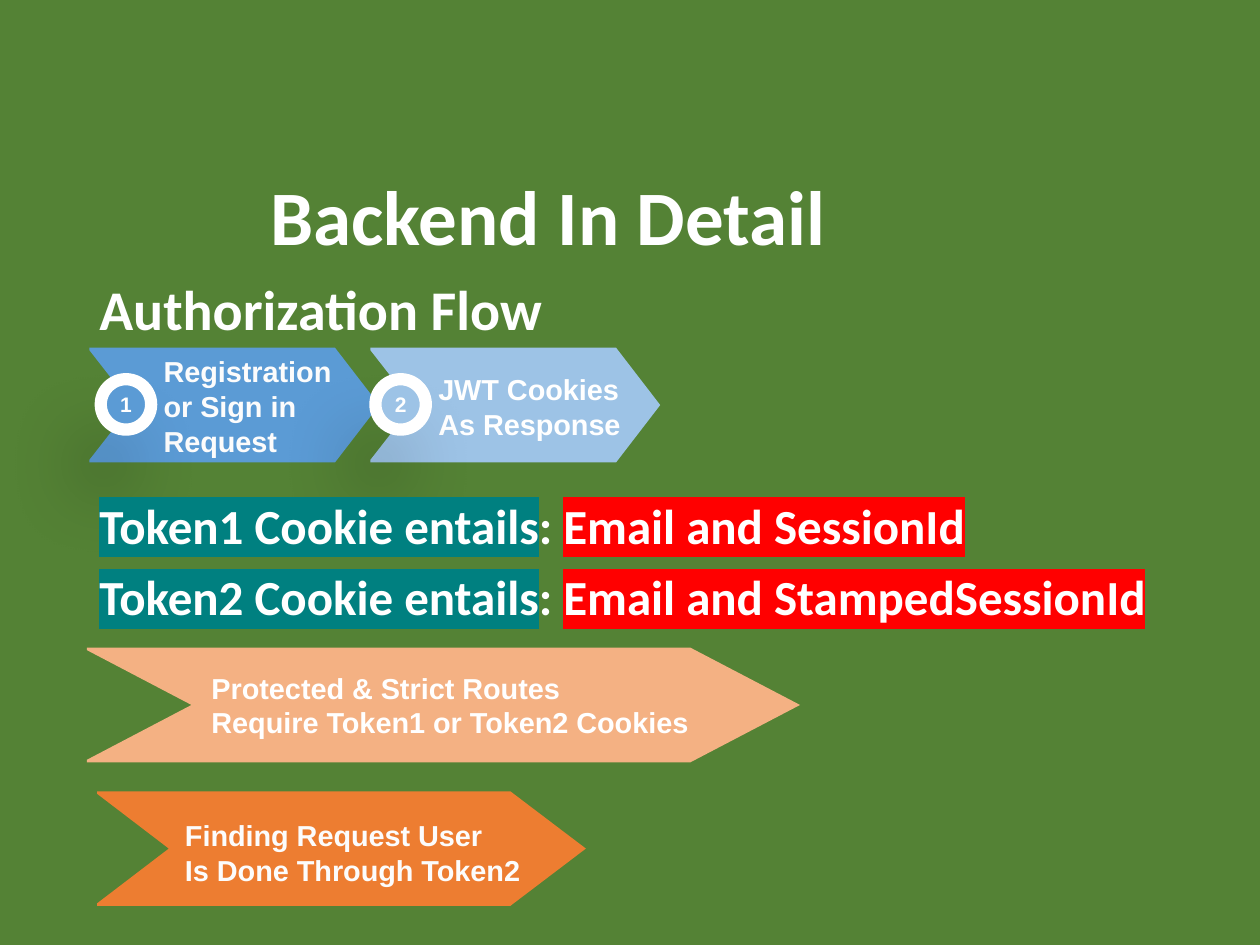
from dataclasses import dataclass
from typing import NamedTuple

from lxml import etree
from pptx import Presentation, util as u
from pptx.dml.color import RGBColor
from pptx.enum import shapes, text
from pptx.oxml import ns


@dataclass(frozen=True)
class Theme:
    back: str = "548235"
    white: str = "FFFFFF"
    soft: str = "FCFCFC"
    blue: str = "5B9BD5"
    pale: str = "9DC3E6"
    peach: str = "F4B183"
    orange: str = "ED7D31"
    teal: str = "008080"
    red: str = "FF0000"
    black: str = "000000"
    head: str = "Calibri"
    body: str = "Arial"
    title: float = 44
    sub: float = 32
    token: float = 28
    step: float = 16.5
    badge: float = 12


class Box(NamedTuple):
    left: float
    top: float
    width: float
    height: float

    def inches(self) -> list:
        return [u.Inches(v) for v in self]


class Arrow(NamedTuple):
    box: Box
    tip: float
    notch: float
    fill: str


class Label(NamedTuple):
    words: str
    box: Box
    size: float
    face: str
    color: str
    wrap: bool = True


class Badge(NamedTuple):
    words: str
    left: float
    fill: str


class Token(NamedTuple):
    name: str
    value: str


T = Theme()
HIGH = 0.91
LIP = 0.02

ARROWS = [
    Arrow(Box(0.71, 2.76, 2.3, HIGH), 0.35, 0.34, T.blue),
    Arrow(Box(2.94, 2.76, 2.3, HIGH), 0.35, 0.34, T.pale),
    Arrow(Box(0.69, 5.14, 5.66, HIGH), 0.87, 0.83, T.peach),
    Arrow(Box(0.77, 6.28, 3.88, HIGH), 0.6, 0.57, T.orange),
]
LABELS = [
    Label("Backend In Detail", Box(2.05, 1.29, 5.91, 0.84), T.title, T.head, T.white),
    Label("Authorization Flow", Box(0.69, 2.13, 4.59, 0.64), T.sub, T.head, T.white),
    Label("Registration\nor Sign in\nRequest", Box(1.2, 2.76, 1.54, 0.93),
          T.step, T.body, T.soft, False),
    Label("Protected & Strict Routes\nRequire Token1 or Token2 Cookies",
          Box(1.58, 5.27, 4.01, 0.65), T.step, T.body, T.white, False),
    Label("Finding Request User\nIs Done Through Token2",
          Box(1.37, 6.44, 2.87, 0.65), T.step, T.body, T.soft, False),
    Label("JWT Cookies\nAs Response", Box(3.38, 2.9, 1.65, 0.65),
          T.step, T.body, T.white, False),
]
BADGES = [Badge("1", 0.8, T.blue), Badge("2", 2.98, T.pale)]
TOKENS = [
    Token("Token1 Cookie entails", "Email and SessionId"),
    Token("Token2 Cookie entails", "Email and StampedSessionId"),
]


def paint(fill, color: str) -> None:
    fill.solid()
    fill.fore_color.rgb = RGBColor.from_string(color)


def style(run, size: float, face: str, color: str) -> None:
    font = run.font
    font.size, font.name, font.bold = u.Pt(size), face, True
    paint(font.fill, color)


def mark(run, color: str) -> None:
    fill = run.font._element.find(ns.qn("a:solidFill"))
    light = etree.Element(ns.qn("a:highlight"))
    etree.SubElement(light, ns.qn("a:srgbClr"), val=color)
    fill.addnext(light)


def shade(shape) -> None:
    shape.shadow.inherit = False
    glow = shape._element.spPr.find(ns.qn("a:effectLst"))
    cast = etree.SubElement(glow, ns.qn("a:outerShdw"), blurRad=str(u.Pt(41)),
                            dist=str(u.Pt(36)), dir=str(111 * 60000),
                            algn="ctr", rotWithShape="0")
    tint = etree.SubElement(cast, ns.qn("a:srgbClr"), val=T.black)
    etree.SubElement(tint, ns.qn("a:alpha"), val="18000")


def add_arrow(slide, arrow: Arrow) -> None:
    left, top, width, height = arrow.box
    right, base, mid = left + width, top + height, top + height / 2
    neck = right - arrow.tip
    points = [(neck, top), (right, mid), (neck, base), (left, base),
              (left, base - LIP), (left + arrow.notch, mid), (left, top + LIP)]
    pen = slide.shapes.build_freeform(u.Inches(left), u.Inches(top))
    pen.add_line_segments([(u.Inches(x), u.Inches(y)) for x, y in points])
    shape = pen.convert_to_shape()
    shape.shadow.inherit = False
    paint(shape.fill, arrow.fill)
    shape.line.fill.background()


def add_label(slide, label: Label) -> None:
    frame = slide.shapes.add_textbox(*label.box.inches()).text_frame
    frame.word_wrap = label.wrap
    frame.text = label.words
    for para in frame.paragraphs:
        for run in para.runs:
            style(run, label.size, label.face, label.color)


def add_badge(slide, badge: Badge) -> None:
    box = Box(badge.left, 3.01, 0.4, 0.4)
    shape = slide.shapes.add_shape(shapes.MSO_SHAPE.OVAL, *box.inches())
    paint(shape.fill, badge.fill)
    paint(shape.line.fill, T.white)
    shape.line.width = u.Pt(7)
    shade(shape)
    frame = shape.text_frame
    frame.margin_left = frame.margin_right = 0
    frame.margin_top = frame.margin_bottom = 0
    frame.vertical_anchor = text.MSO_ANCHOR.MIDDLE
    frame.text = badge.words
    para = frame.paragraphs[0]
    para.alignment = text.PP_ALIGN.CENTER
    style(para.runs[0], T.badge, T.body, T.white)


def add_token(slide, token: Token, top: float) -> None:
    box = Box(0.69, top, 8.9, 0.57)
    frame = slide.shapes.add_textbox(*box.inches()).text_frame
    frame.word_wrap = True
    parts = [(token.name, T.teal), (": ", None), (token.value, T.red)]
    for words, color in parts:
        run = frame.paragraphs[0].add_run()
        run.text = words
        style(run, T.token, T.head, T.white)
        if color:
            mark(run, color)


def main() -> None:
    deck = Presentation()
    deck.slide_width, deck.slide_height = u.Inches(10), u.Inches(7.5)
    slide = deck.slides.add_slide(deck.slide_layouts[6])
    paint(slide.background.fill, T.back)
    for arrow in ARROWS:
        add_arrow(slide, arrow)
    for label in LABELS:
        add_label(slide, label)
    for badge in BADGES:
        add_badge(slide, badge)
    for row, token in enumerate(TOKENS):
        add_token(slide, token, 3.88 + row * 0.57)
    deck.save("out.pptx")


if __name__ == "__main__":
    main()
